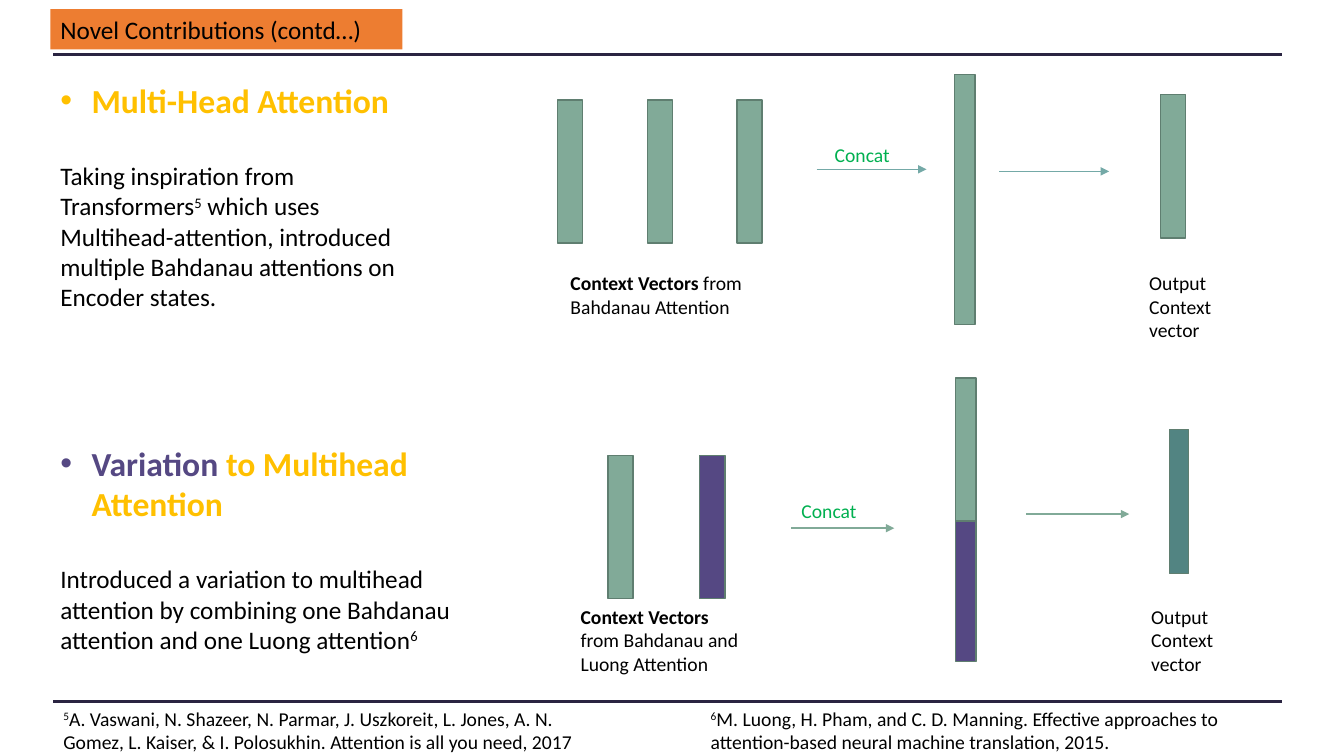
"""Build the slide on multi-head attention and its variation."""
from lxml.etree import SubElement
from pptx import Presentation
from pptx.dml.color import RGBColor
from pptx.enum.shapes import MSO_CONNECTOR, MSO_SHAPE
from pptx.enum.text import MSO_ANCHOR, MSO_AUTO_SIZE, PP_ALIGN
from pptx.oxml.ns import qn
from pptx.util import Inches, Pt

COLORS = {
    "rule": "2A2441", "banner": "ED7D31", "black": "000000", "gold": "FFC000",
    "violet": "554883", "sage": "81AA98", "edge": "5F7E70", "teal": "528482",
    "aqua": "74A9A7", "green": "00B050",
}
CELL = Inches(0.1)
FRAME = {
    "word_wrap": True, "auto_size": MSO_AUTO_SIZE.SHAPE_TO_FIT_TEXT,
    "vertical_anchor": MSO_ANCHOR.TOP,
}
FORMATS = {
    "heading": {"size": Pt(24), "bold": True},
    "body": {"size": Pt(18), "bold": False},
    "strong": {"size": Pt(14), "bold": True},
    "label": {"size": Pt(14), "bold": False},
}

deck = Presentation()
deck.slide_width, deck.slide_height = Inches(13.33), Inches(7.5)
slide = deck.slides.add_slide(deck.slide_layouts[6])


def grid(*cells):
    return [round(cell * CELL) for cell in cells]


def write(frame, paragraphs):
    for name, value in FRAME.items():
        setattr(frame, name, value)
    for index, pieces in enumerate(paragraphs):
        paragraph = frame.add_paragraph() if index else frame.paragraphs[0]
        paragraph.alignment = PP_ALIGN.LEFT
        if index:
            paragraph.space_before = Pt(29)
        if pieces[0][1] == "heading":
            properties = paragraph._p.get_or_add_pPr()
            properties.set("marL", str(Inches(0.31)))
            properties.set("indent", str(-Inches(0.31)))
            SubElement(properties, qn("a:buFont")).set("typeface", "Arial")
            SubElement(properties, qn("a:buChar")).set("char", "•")
        for text, style, color, *raised in pieces:
            run = paragraph.add_run()
            run.text = text
            run.font.name = "Calibri"
            run.font.color.rgb = RGBColor.from_string(COLORS[color])
            for name, value in FORMATS[style].items():
                setattr(run.font, name, value)
            if raised:
                run._r.get_or_add_rPr().set("baseline", "30000")


lines = [
    (5.3, 5.4, 127.2, "rule", 2.25, False),
    (5.3, 69.6, 127.2, "rule", 2.25, False),
    (81, 16.8, 91.9, "aqua", 1, True),
    (99.1, 17, 110, "aqua", 1, True),
    (78.5, 52.4, 88.7, "sage", 1, True),
    (101.8, 51, 112, "sage", 1, True),
]
for start, row, end, color, weight, pointed in lines:
    line = slide.shapes.add_connector(MSO_CONNECTOR.STRAIGHT, *grid(start, row, end, row))
    line.line.color.rgb = RGBColor.from_string(COLORS[color])
    line.line.width = Pt(weight)
    if pointed:
        SubElement(line.line._get_or_add_ln(), qn("a:tailEnd")).set("type", "triangle")
    SubElement(line._element.spPr, qn("a:effectLst"))

head_vectors = [(55.3 + 8.9 * head, 9.9, 2.5, 14.2, "sage") for head in range(3)]
vectors = head_vectors + [
    (94.7, 7.4, 2, 24.8, "sage"),
    (115.1, 9.4, 2.5, 14.2, "sage"),
    (60.3, 45.2, 2.5, 14.2, "sage"),
    (69.4, 45.2, 2.5, 14.2, "violet"),
    (94.8, 37.5, 2, 14.2, "sage"),
    (94.8, 51.7, 2, 13.9, "violet"),
    (116, 42.6, 1.9, 14.3, "teal"),
]
for *place, color in vectors + [(5, 0.9, 34.9, 4, "banner")]:
    block = slide.shapes.add_shape(MSO_SHAPE.RECTANGLE, *grid(*place))
    block.shadow.inherit = False
    block.fill.solid()
    block.fill.fore_color.rgb = RGBColor.from_string(COLORS[color])
    if color == "banner":
        block.line.fill.background()
        write(block.text_frame, [[("Novel Contributions (contd…)", "body", "black")]])
    else:
        block.line.color.rgb = RGBColor.from_string(COLORS["edge"])
        block.line.width = Pt(1)

concat = [[("Concat", "label", "green")]]
output = [[("Output Context vector", "label", "black")]]
source = ("Context Vectors", "strong", "black")
texts = [
    ((5, 7.4, 38.9, 28.3), [
        [("Multi-Head Attention", "heading", "gold")],
        [("Taking inspiration from Transformers", "body", "black"),
         ("5", "body", "black", True),
         (" which uses Multihead-attention, introduced multiple Bahdanau "
          "attentions on Encoder states.", "body", "black")],
    ]),
    ((5, 43.4, 43.7, 22.2), [
        [("Variation", "heading", "violet"),
         (" to Multihead Attention", "heading", "gold")],
        [("Introduced a variation to multihead attention by combining one "
          "Bahdanau attention and one Luong attention", "body", "black"),
         ("6", "body", "black", True)],
    ]),
    ((81.8, 13.7, 10.1, 3.4), concat),
    ((78.5, 49, 10.1, 3.4), concat),
    ((113, 26.4, 8.7, 8.1), output),
    ((113.2, 59.5, 8.7, 8.1), output),
    ((55.6, 26.4, 20.9, 5.7),
     [[source, (" from Bahdanau Attention", "label", "black")]]),
    ((56.6, 59.5, 18.9, 8.1),
     [[source, (" from Bahdanau and Luong Attention", "label", "black")]]),
]
for place, paragraphs in texts:
    write(slide.shapes.add_textbox(*grid(*place)).text_frame, paragraphs)

references = [
    (5.3, "5", "A. Vaswani, N. Shazeer, N. Parmar, J. Uszkoreit, L. Jones, A. N. Gomez, "
               "L. Kaiser, & I. Polosukhin. Attention is all you need, 2017"),
    (69.5, "6", "M. Luong, H. Pham, and C. D. Manning. Effective approaches to "
                "attention-based neural machine translation, 2015."),
]
for column, number, citation in references:
    reference = slide.shapes.add_textbox(*grid(column, 69.6, 56.9, 8.1)).text_frame
    reference.margin_right = Inches(0.4)
    write(reference, [[(number, "label", "black", True), (citation, "label", "black")]])

deck.save("out.pptx")
